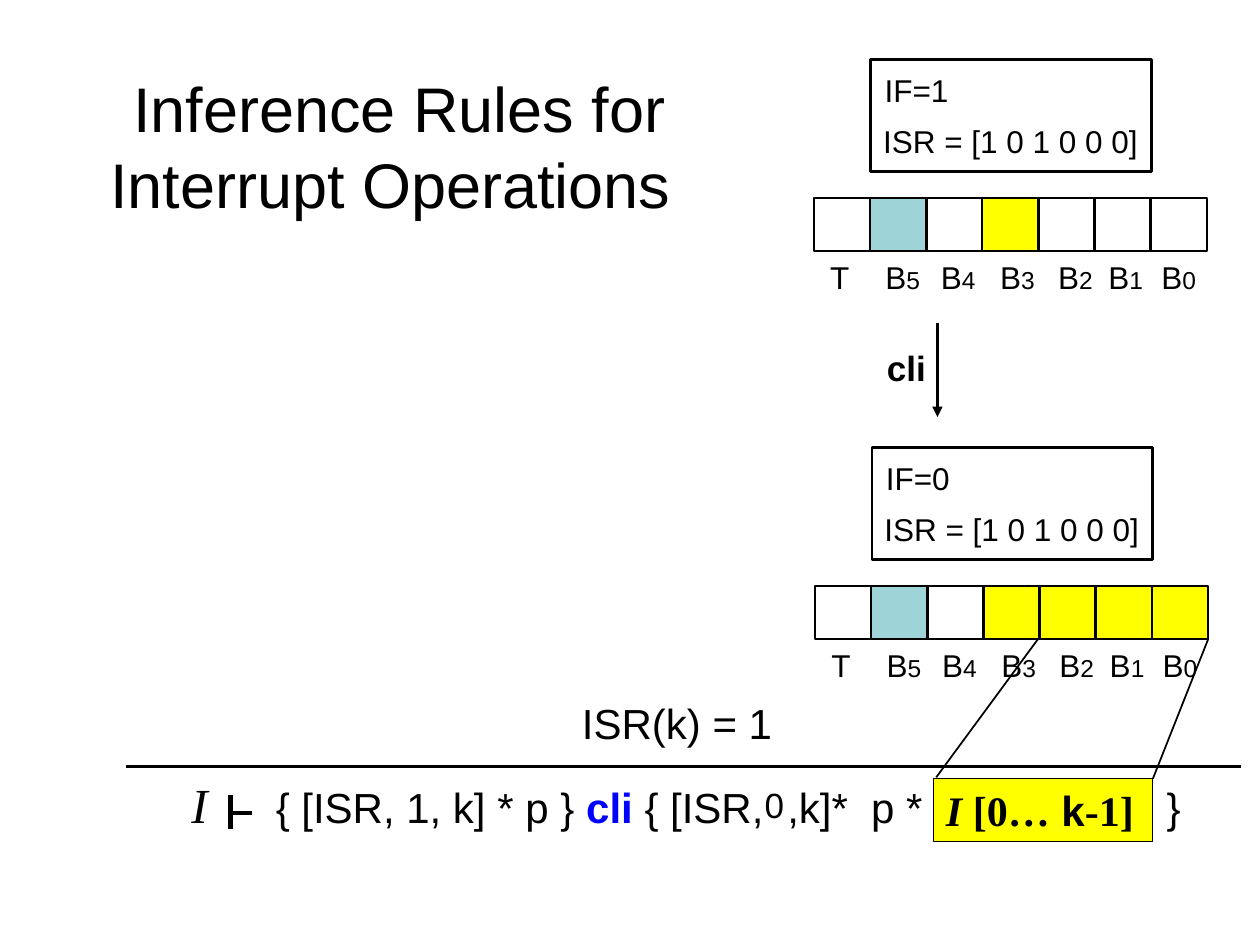
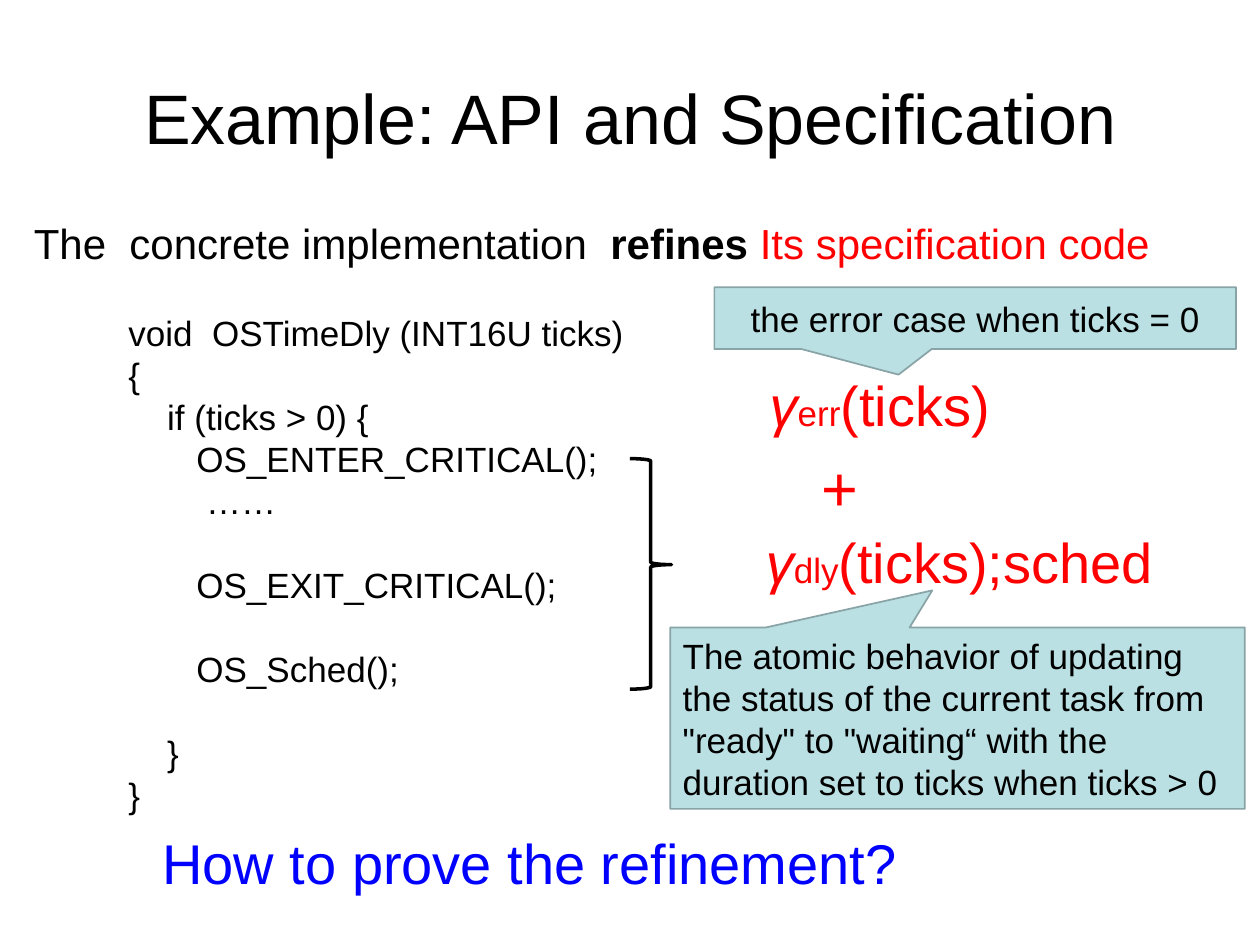
from dataclasses import dataclass

from lxml import etree
from pptx import Presentation
from pptx.dml.color import RGBColor
from pptx.enum.shapes import MSO_CONNECTOR as Connector, MSO_SHAPE as Shape
from pptx.enum.text import MSO_ANCHOR as Anchor, PP_ALIGN as Align
from pptx.oxml.ns import qn
from pptx.util import Inches, Pt


@dataclass(frozen=True)
class Theme:
    font: str = "Arial"
    math_font: str = "Times New Roman"
    black: str = "000000"
    white: str = "FFFFFF"
    blue: str = "0000FF"
    red: str = "FF0000"
    yellow: str = "FFFF00"
    teal: str = "9ED3D7"
    callout: str = "BBE0E3"
    callout_line: str = "89A4A7"
    title: int = 40
    small_title: int = 36
    big: int = 32
    symbol: int = 28
    rule: int = 24
    text: int = 20
    label: int = 18
    index: int = 14


THEME = Theme()

# Interrupt panel geometry, relative to the left cell of the row
CELL_STEP, CELL_WIDTH, CELL_HEIGHT = 0.445, 0.45, 0.42
CELL_LABELS = [("T", "", -0.1), ("B", "5", 0.4), ("B", "4", 0.84), ("B", "3", 1.31),
               ("B", "2", 1.77), ("B", "1", 2.17), ("B", "0", 2.59)]

# Code lines, each with the number of empty lines above it
CODE = [("void  OSTimeDly (INT16U ticks)", 0),
        ("{", 0),
        ("    if (ticks > 0) {", 0),
        ("       OS_ENTER_CRITICAL();", 0),
        ("        ……", 0),
        ("       OS_EXIT_CRITICAL();", 1),
        ("       OS_Sched();", 1),
        ("    }", 1),
        ("}", 0)]
CODE_LINE = 24


# Text helpers
def style(span, size, color=THEME.black, font=THEME.font, bold=False, italic=False):
    span.font.size = Pt(size)
    span.font.color.rgb = RGBColor.from_string(color)
    span.font.name = font
    span.font.bold = bold
    span.font.italic = italic


def write(para, spans, align=Align.LEFT):
    """Fill a paragraph with (text, style options) pairs."""
    para.alignment = align
    for text, options in spans:
        span = para.add_run()
        span.text = text
        style(span, **options)


def add_text(page, at, spans, align=Align.LEFT, anchor=Anchor.TOP):
    box = page.shapes.add_textbox(*map(Inches, at))
    frame = box.text_frame
    frame.word_wrap = True
    frame.vertical_anchor = anchor
    write(frame.paragraphs[0], spans, align)
    return box


def add_label(page, at, spans):
    return add_text(page, at, spans, Align.CENTER, Anchor.MIDDLE)


def set_title(page, text, at, size):
    title = page.shapes.title
    title.left, title.top, title.width, title.height = map(Inches, at)
    title.text_frame.text = text
    title.text_frame.vertical_anchor = Anchor.MIDDLE
    para = title.text_frame.paragraphs[0]
    para.alignment = Align.CENTER
    style(para.runs[0], size)


def set_tabs(para, stops):
    tabs = etree.SubElement(para._p.get_or_add_pPr(), qn("a:tabLst"))
    for stop in stops:
        etree.SubElement(tabs, qn("a:tab"), pos=str(Inches(stop)), algn="l")


# Shape helpers
def add_box(page, at, fill=None, line=THEME.black, width=1.25, kind=Shape.RECTANGLE):
    box = page.shapes.add_shape(kind, *map(Inches, at))
    box.shadow.inherit = False
    if fill:
        box.fill.solid()
        box.fill.fore_color.rgb = RGBColor.from_string(fill)
    else:
        box.fill.background()
    box.line.color.rgb = RGBColor.from_string(line)
    box.line.width = Pt(width)
    return box


def add_line(page, start, end, width, arrow=False):
    line = page.shapes.add_connector(Connector.STRAIGHT, *map(Inches, (*start, *end)))
    line.line.color.rgb = RGBColor.from_string(THEME.black)
    line.line.width = Pt(width)
    if arrow:
        etree.SubElement(line.line._get_or_add_ln(), qn("a:tailEnd"), type="triangle")
    etree.SubElement(line._element.spPr, qn("a:effectLst"))


def add_callout(page, at, tip, text, align):
    box = add_box(page, at, THEME.callout, THEME.callout_line, 1,
                  Shape.RECTANGULAR_CALLOUT)
    box.adjustments[0], box.adjustments[1] = tip
    frame = box.text_frame
    frame.word_wrap = True
    frame.vertical_anchor = Anchor.MIDDLE
    write(frame.paragraphs[0], [(text, dict(size=THEME.text))], align)


def add_interrupt_panel(page, left, top, flag, fills):
    """Draw the register box, the row of priority cells and their labels."""
    label = dict(size=THEME.label)
    add_box(page, (left + 0.45, top, 2.23, 0.89), THEME.white, width=1.5)
    add_label(page, (left + 0.43, top, 0.77, 0.48), [(f"IF={flag}", label)])
    add_label(page, (left + 0.31, top + 0.41, 2.5, 0.48),
              [("ISR = [1 0 1 0 0 0]", label)])
    for column, (letter, index, offset) in enumerate(CELL_LABELS):
        add_box(page, (left + column * CELL_STEP, top + 1.1, CELL_WIDTH, CELL_HEIGHT),
                fills.get(letter + index))
        spans = [(letter, label)]
        if index:
            spans.append((index, dict(size=THEME.index)))
        add_label(page, (left + offset, top + 1.52, 0.61, 0.42), spans)


def add_gamma(page, at, index, rest):
    red = dict(color=THEME.red)
    add_text(page, at, [("γ", dict(size=THEME.big, italic=True, **red)),
                        (index, dict(size=THEME.text, **red)),
                        (rest, dict(size=THEME.big, **red))])


# Slides
def build_inference_rules(page):
    set_title(page, "Inference Rules for Interrupt Operations ",
              (0.38, 0.53, 5.58, 1.25), THEME.small_title)

    # State before and after cli
    before = {"B5": THEME.teal, "B3": THEME.yellow}
    after = before | dict.fromkeys(("B2", "B1", "B0"), THEME.yellow)
    add_interrupt_panel(page, 6.46, 0.47, 1, before)
    add_interrupt_panel(page, 6.47, 3.55, 0, after)
    add_line(page, (7.44, 2.56), (7.44, 3.31), 1.5, arrow=True)
    add_text(page, (6.94, 2.7, 0.58, 0.44), [("cli", dict(size=THEME.text, bold=True))])

    # Inference rule: conclusion, turnstile, bar and premise
    rule = dict(size=THEME.rule)
    math = dict(size=THEME.rule, font=THEME.math_font, bold=True)
    conclusion = add_text(page, (0.75, 6.1, 8.85, 0.57), [
        ("\tI", dict(size=THEME.symbol, font=THEME.math_font, italic=True)),
        ("\t{ [ISR, 1, k] * p } ", rule),
        ("cli", dict(size=THEME.rule, color=THEME.blue, bold=True)),
        (" { [ISR,\t,k]*  p *\t}", rule)])
    set_tabs(conclusion.text_frame.paragraphs[0], (0.67, 1.34, 5.4, 8.41))
    add_text(page, (5.97, 6.17, 0.4, 0.44), [("0", dict(size=THEME.text))])
    add_line(page, (1.83, 6.31), (1.83, 6.58), 2.5)
    add_line(page, (1.83, 6.45), (2, 6.45), 2.5)
    add_line(page, (1, 6.08), (9.85, 6.08), 1.75)
    add_text(page, (4.52, 5.49, 1.85, 0.5), [("ISR(k) = 1", rule)])

    # Invariant released by cli, tied to the cells below B3
    invariant = add_box(page, (7.41, 6.18, 1.74, 0.5), THEME.yellow, width=0.75)
    invariant.text_frame.word_wrap = True
    invariant.text_frame.vertical_anchor = Anchor.TOP
    write(invariant.text_frame.paragraphs[0], [
        ("I ", math | dict(italic=True)), ("[0…", math),
        (" k", dict(size=THEME.rule, bold=True)), ("-1]", math)])
    add_line(page, (8.24, 5.07), (7.43, 6.17), 1)
    add_line(page, (9.59, 5.07), (9.15, 6.18), 1)


def build_api_example(page):
    set_title(page, "Example: API and Specification", (0.5, 0.3, 9, 1.25), THEME.title)
    rule = dict(size=THEME.rule)
    add_text(page, (0.17, 1.68, 9.5, 0.5), [
        ("The  concrete implementation  ", rule),
        ("refines ", rule | dict(bold=True)),
        ("Its specification code", rule | dict(color=THEME.red))])

    # Implementation
    code = add_text(page, (0.92, 2.42, 4.42, 4.1), []).text_frame
    for number, (text, gap) in enumerate(CODE):
        para = code.add_paragraph() if number else code.paragraphs[0]
        write(para, [(text, dict(size=THEME.text))])
        if gap:
            para.space_before = Pt(gap * CODE_LINE)
    brace = add_box(page, (5, 3.64, 0.33, 1.83), width=2, kind=Shape.RIGHT_BRACE)
    brace.adjustments[0], brace.adjustments[1] = 0.06, 0.46

    # Specification
    add_gamma(page, (6.01, 2.89, 2.1, 0.64), "err", "(ticks)")
    add_text(page, (6.42, 3.51, 0.6, 0.7),
             [("+", dict(size=THEME.small_title, color=THEME.red))])
    add_gamma(page, (5.98, 4.14, 3.4, 0.64), "dly", "(ticks);sched")
    add_callout(page, (5.67, 2.28, 4.14, 0.49), (-0.147, 0.915),
                "the error case when ticks = 0", Align.CENTER)
    add_callout(page, (5.32, 4.98, 4.56, 1.44), (-0.044, -0.704),
                "The atomic behavior of updating the status of the current task from "
                "\"ready\" to \"waiting“ with the duration set to ticks when ticks > 0",
                Align.LEFT)

    # Closing question
    add_text(page, (1.19, 6.53, 6.2, 0.64),
             [("How to prove the refinement?", dict(size=THEME.big, color=THEME.blue))])


def main():
    deck = Presentation()
    deck.slide_width, deck.slide_height = Inches(10), Inches(7.5)
    title_only = deck.slide_layouts[5]
    for build in (build_inference_rules, build_api_example):
        build(deck.slides.add_slide(title_only))
    deck.save("out.pptx")


if __name__ == "__main__":
    main()
